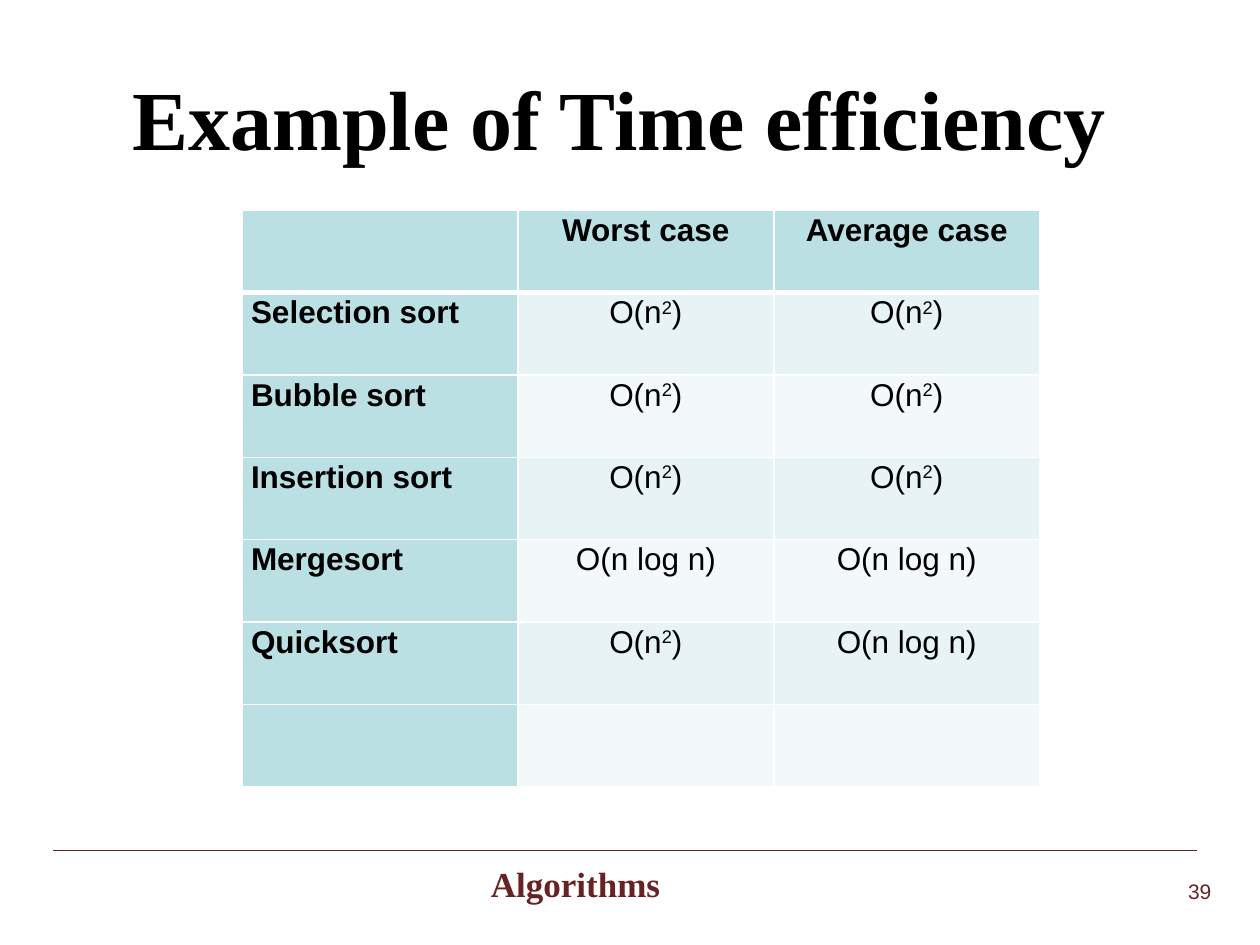
import dataclasses

import lxml.etree
import pptx
import pptx.dml.color
import pptx.enum.shapes
import pptx.enum.text
import pptx.oxml
import pptx.oxml.ns
import pptx.util

Cm = pptx.util.Cm
Pt = pptx.util.Pt
ALIGN = pptx.enum.text.PP_ALIGN
ANCHOR = pptx.enum.text.MSO_ANCHOR


@dataclasses.dataclass(frozen=True)
class Theme:
    serif: str = "Times New Roman"
    sans: str = "Arial"
    black: str = "000000"
    maroon: str = "682224"
    border: str = "FFFFFF"
    header: str = "BBE0E3"
    bands: tuple = ("E7F3F4", "F3F9FA")
    title_size: float = 48
    footer_size: float = 20
    table_size: float = 18
    number_size: float = 12


@dataclasses.dataclass(frozen=True)
class Style:
    font: str
    size: float
    color: str
    bold: bool = False


@dataclasses.dataclass(frozen=True)
class Area:
    left: float
    top: float
    width: float
    height: float

    def lengths(self) -> tuple:
        return tuple(Cm(value) for value in dataclasses.astuple(self))


@dataclasses.dataclass(frozen=True)
class Sort:
    name: str
    worst: str
    average: str


THEME = Theme()
SQUARE = "O(n^2)"  # the character after ^ is raised
LINEARITHMIC = "O(n log n)"
ROWS = (
    Sort("", "Worst case", "Average case"),
    Sort("Selection sort", SQUARE, SQUARE),
    Sort("Bubble sort", SQUARE, SQUARE),
    Sort("Insertion sort", SQUARE, SQUARE),
    Sort("Mergesort", LINEARITHMIC, LINEARITHMIC),
    Sort("Quicksort", SQUARE, LINEARITHMIC),
    Sort("", "", ""),
)
COLUMN_WIDTHS = (5.56, 5.16, 5.36)
ROW_HEIGHT = 1.66


def rgb(color: str) -> pptx.dml.color.RGBColor:
    return pptx.dml.color.RGBColor.from_string(color)


def format_font(font, style: Style) -> None:
    font.name = style.font
    font.size = Pt(style.size)
    font.bold = style.bold
    font.color.rgb = rgb(style.color)


def write(para, text: str, style: Style, align) -> None:
    """Fill a paragraph, raising the character that follows a caret."""
    para.alignment = align
    base, _, raised = text.partition("^")
    for part, baseline in ((base, None), (raised[:1], "30000"), (raised[1:], None)):
        if part:
            span = para.add_run()
            span.text = part
            format_font(span.font, style)
            if baseline:
                span.font._element.set("baseline", baseline)


def add_text(page, area: Area, text: str, style: Style, align, wrap: bool = True):
    box = page.shapes.add_textbox(*area.lengths())
    box.text_frame.word_wrap = wrap
    write(box.text_frame.paragraphs[0], text, style, align)
    return box


def set_border(cell, side: str, points: float) -> None:
    properties = cell._tc.get_or_add_tcPr()
    properties.append(pptx.oxml.parse_xml(
        f'<a:ln{side} {pptx.oxml.ns.nsdecls("a")} w="{int(Pt(points))}">'
        f'<a:solidFill><a:srgbClr val="{THEME.border}"/></a:solidFill></a:ln{side}>'
    ))


def fill_cell(cell, text: str, row: int, column: int) -> None:
    heading = row == 0 or column == 0
    for side in "LRTB":
        thick = (row, side) in ((0, "B"), (1, "T"))
        set_border(cell, side, 3 if thick else 1)
    cell.fill.solid()
    cell.fill.fore_color.rgb = rgb(THEME.header if heading else THEME.bands[(row - 1) % 2])
    cell.margin_left = cell.margin_right = Cm(0.18)
    cell.margin_top = cell.margin_bottom = 0
    cell.vertical_anchor = ANCHOR.TOP
    para = cell.text_frame.paragraphs[0]
    para.line_spacing = 1.07
    style = Style(THEME.sans, THEME.table_size, THEME.black, heading)
    write(para, text, style, ALIGN.LEFT if column == 0 else ALIGN.CENTER)


def add_sort_table(page) -> None:
    area = Area(4.88, 4.24, sum(COLUMN_WIDTHS), ROW_HEIGHT * len(ROWS))
    frame = page.shapes.add_table(len(ROWS), len(COLUMN_WIDTHS), *area.lengths())
    table = frame.table
    table.first_col = True
    for column, width in zip(table.columns, COLUMN_WIDTHS):
        column.width = Cm(width)
    for row, sort in enumerate(ROWS):
        table.rows[row].height = Cm(ROW_HEIGHT)
        for column, text in enumerate(dataclasses.astuple(sort)):
            fill_cell(table.cell(row, column), text, row, column)


def add_title(page, text: str) -> None:
    title = page.shapes.title
    title.left, title.top, title.width, title.height = Area(1.27, 0.76, 22.86, 3.18).lengths()
    title.text_frame.vertical_anchor = ANCHOR.MIDDLE
    style = Style(THEME.serif, THEME.title_size, THEME.black, True)
    write(title.text_frame.paragraphs[0], text, style, ALIGN.CENTER)


def add_footer(page) -> None:
    # Rule above the footer
    rule = page.shapes.add_connector(
        pptx.enum.shapes.MSO_CONNECTOR.STRAIGHT, Cm(1.07), Cm(17.15), Cm(24.13), Cm(17.15))
    rule.line.color.rgb = rgb(THEME.maroon)
    rule.line.width = Pt(0.75)
    lxml.etree.SubElement(rule._element.spPr, pptx.oxml.ns.qn("a:effectLst"))

    # Page number and course name
    add_text(page, Area(23.7, 17.58, 1.02, 0.76), "39",
             Style(THEME.sans, THEME.number_size, THEME.maroon), ALIGN.LEFT, wrap=False)
    course = add_text(page, Area(4.45, 17.35, 14.17, 1.32), " Algorithms",
                      Style(THEME.serif, THEME.footer_size, THEME.maroon, True), ALIGN.CENTER)
    course.text_frame.paragraphs[0].line_spacing = 0.9


def main() -> None:
    deck = pptx.Presentation()
    deck.slide_width, deck.slide_height = Cm(25.4), Cm(19.05)
    page = deck.slides.add_slide(deck.slide_layouts.get_by_name("Title Only"))
    add_title(page, "Example of Time efficiency ")
    add_sort_table(page)
    add_footer(page)
    deck.save("out.pptx")


if __name__ == "__main__":
    main()
